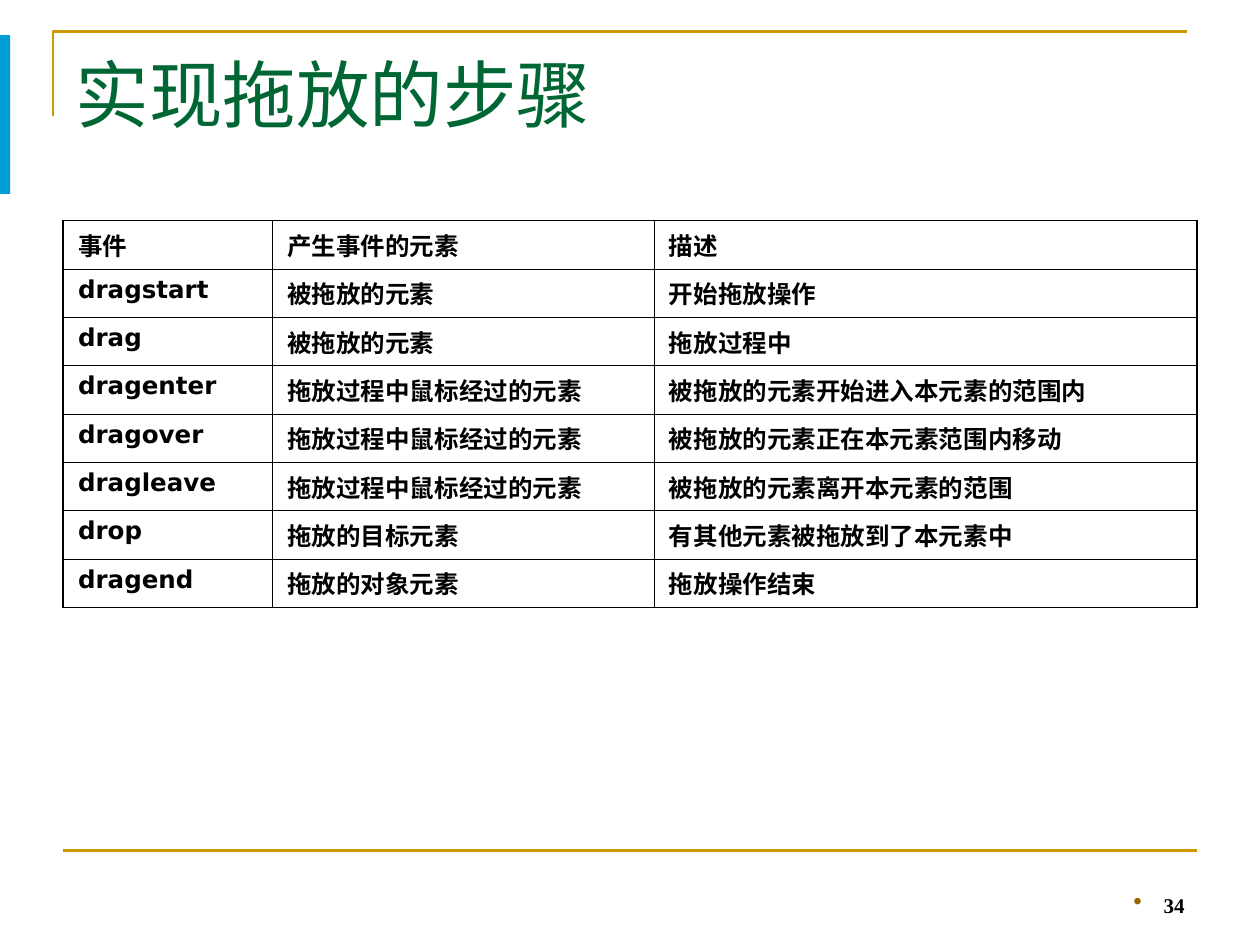
from dataclasses import dataclass
from lxml import etree
from pptx import Presentation
from pptx import util as u
from pptx.dml.color import RGBColor
from pptx.enum import shapes, text
from pptx.oxml import ns


@dataclass
class Theme:
    gold: str = "CC9900"
    blue: str = "009ED6"
    green: str = "006633"
    brown: str = "996600"
    black: str = "000000"
    sans: str = "DejaVu Sans"
    han: str = "Noto Sans CJK SC"
    serif: str = "Times New Roman"
    head: float = 42
    body: float = 14
    small: float = 12
    rule: float = 1.5
    outer: float = 1.08
    inner: float = 0.45


def add(node, tag, **attrs):
    return etree.SubElement(node, ns.qn(tag), attrs)


def box(*sides):
    return [u.Inches(side) for side in sides]


class Page:
    def __init__(self, deck, theme):
        self.theme = theme
        self.slide = deck.slides.add_slide(deck.slide_layouts[5])
        self.shapes = self.slide.shapes

    def font(self, para, size, face, color, bold=False):
        for run in para.runs:
            font = run.font
            font.size, font.name, font.bold = u.Pt(size), face, bold
            font.color.rgb = RGBColor.from_string(color)
            add(run._r.get_or_add_rPr(), "a:ea", typeface=self.theme.han)

    def stroke(self, line):
        line.color.rgb = RGBColor.from_string(self.theme.gold)
        line.width = u.Pt(self.theme.rule)

    def corner(self, points):
        first, *rest = [box(*point) for point in points]
        pen = self.shapes.build_freeform(*first)
        pen.add_line_segments(rest, close=False)
        shape = pen.convert_to_shape()
        shape.shadow.inherit = False
        shape.fill.background()
        self.stroke(shape.line)

    def rule(self, *ends):
        line = self.shapes.add_connector(shapes.MSO_CONNECTOR.STRAIGHT, *box(*ends))
        self.stroke(line.line)
        add(line._element.spPr, "a:effectLst")

    def bar(self, *place):
        shape = self.shapes.add_shape(shapes.MSO_SHAPE.RECTANGLE, *box(*place))
        shape.shadow.inherit = False
        shape.fill.solid()
        shape.fill.fore_color.rgb = RGBColor.from_string(self.theme.blue)
        shape.line.fill.background()

    def title(self, words, *place):
        shape = self.shapes.title
        shape.left, shape.top, shape.width, shape.height = box(*place)
        frame = shape.text_frame
        frame.text = words
        frame.vertical_anchor = text.MSO_ANCHOR.TOP
        para = frame.paragraphs[0]
        para.alignment = text.PP_ALIGN.LEFT
        para.line_spacing = 0.9
        self.font(para, self.theme.head, self.theme.han, self.theme.green)

    def edges(self, cell, widths):
        props = cell._tc.get_or_add_tcPr()
        for spot, (side, width) in enumerate(widths.items()):
            line = etree.Element(ns.qn("a:ln" + side), w=str(u.Pt(width)))
            fill = add(line, "a:solidFill")
            add(fill, "a:srgbClr", val=self.theme.black)
            props.insert(spot, line)

    def table(self, rows, widths, *place):
        look = self.theme
        table = self.shapes.add_table(len(rows), len(widths), *box(*place)).table
        table.first_row = table.horz_banding = False
        for col, width in zip(table.columns, widths):
            col.width = u.Inches(width)
        for r, row in enumerate(rows):
            for c, words in enumerate(row):
                cell = table.cell(r, c)
                cell.text = words
                cell.margin_left = cell.margin_right = u.Inches(0.12)
                cell.margin_top = cell.margin_bottom = u.Inches(0.05)
                cell.fill.background()
                para = cell.text_frame.paragraphs[0]
                self.font(para, look.body, look.sans, look.black, True)
                # Heavier lines run round the outside of the grid
                outside = {"L": c == 0, "R": c == len(widths) - 1,
                           "T": r == 0, "B": r == len(rows) - 1}
                self.edges(cell, {side: look.outer if out else look.inner
                                  for side, out in outside.items()})

    def number(self, words, *place):
        look = self.theme
        frame = self.shapes.add_textbox(*box(*place)).text_frame
        frame.word_wrap = True
        frame.vertical_anchor = text.MSO_ANCHOR.BOTTOM
        frame.text = words
        para = frame.paragraphs[0]
        para.alignment = text.PP_ALIGN.RIGHT
        props = para._p.get_or_add_pPr()
        props.set("marL", str(u.Inches(0.24)))
        props.set("indent", str(u.Inches(-0.24)))
        add(add(props, "a:buClr"), "a:srgbClr", val=look.brown)
        add(props, "a:buSzPct", val="120000")
        add(props, "a:buChar", char="•")
        self.font(para, look.small, look.serif, look.black, True)


EVENTS = [
    ("事件", "产生事件的元素", "描述"),
    ("dragstart", "被拖放的元素", "开始拖放操作"),
    ("drag", "被拖放的元素", "拖放过程中"),
    ("dragenter", "拖放过程中鼠标经过的元素", "被拖放的元素开始进入本元素的范围内"),
    ("dragover", "拖放过程中鼠标经过的元素", "被拖放的元素正在本元素范围内移动"),
    ("dragleave", "拖放过程中鼠标经过的元素", "被拖放的元素离开本元素的范围"),
    ("drop", "拖放的目标元素", "有其他元素被拖放到了本元素中"),
    ("dragend", "拖放的对象元素", "拖放操作结束"),
]


def main():
    deck = Presentation()
    deck.slide_width, deck.slide_height = box(10, 7.5)
    page = Page(deck, Theme())

    # Frame lines and side bar
    page.corner([(0.42, 0.92), (0.42, 0.25), (9.42, 0.25)])
    page.rule(0.5, 6.75, 9.5, 6.75)
    page.bar(-0.04, 0.28, 0.12, 1.26)

    # Title, event table and page number
    page.title("实现拖放的步骤", 0.5, 0.42, 9, 1.13)
    page.table(EVENTS, (1.66, 3.03, 4.31), 0.5, 1.75, 9, 2.81)
    page.number("34", 7.17, 6.83, 2.33, 0.5)
    deck.save("out.pptx")


if __name__ == "__main__":
    main()
